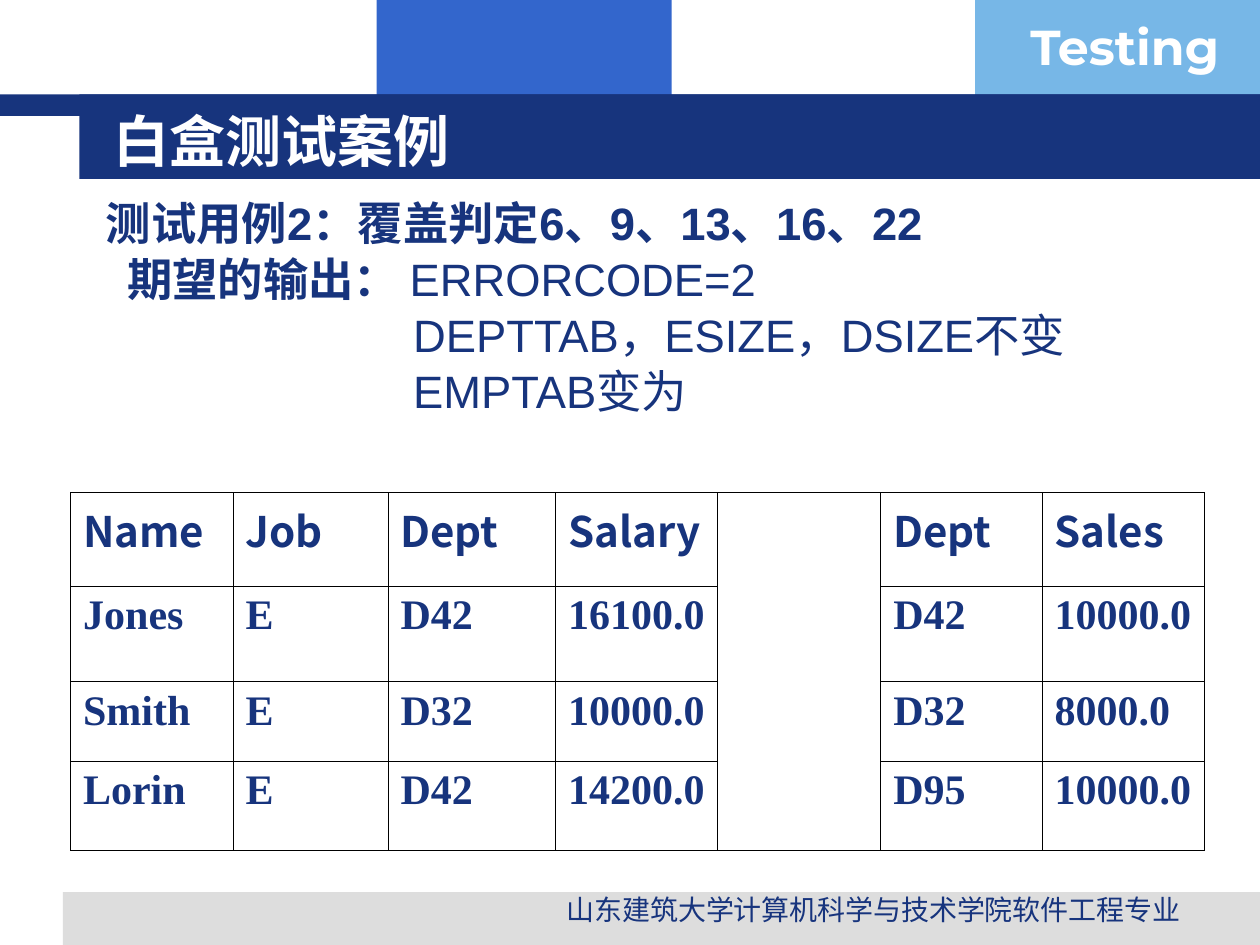
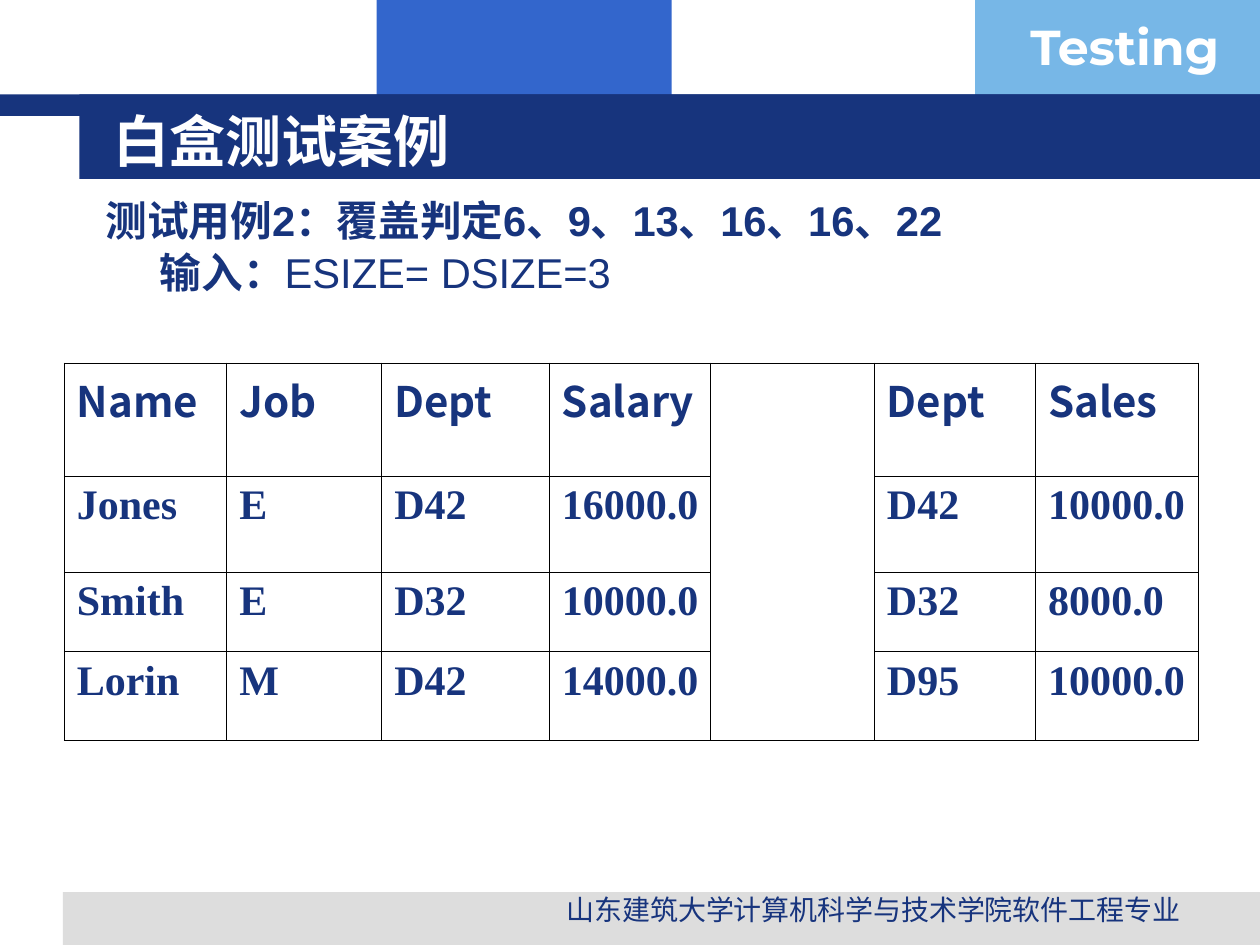
from dataclasses import dataclass

from lxml import etree
from pptx import Presentation
from pptx.dml.color import RGBColor
from pptx.enum.shapes import MSO_SHAPE
from pptx.enum.text import MSO_ANCHOR, PP_ALIGN
from pptx.oxml.ns import qn
from pptx.util import Inches, Pt

RECTANGLE = MSO_SHAPE.RECTANGLE
TOP, MIDDLE = MSO_ANCHOR.TOP, MSO_ANCHOR.MIDDLE
LEFT, CENTER = PP_ALIGN.LEFT, PP_ALIGN.CENTER


@dataclass(frozen=True)
class Theme:
    navy: str = "17347D"
    blue: str = "3366CC"
    sky: str = "77B7E7"
    grey: str = "DDDDDD"
    white: str = "FFFFFF"
    border: str = "000000"
    body_font: str = "Arial"
    heading_font: str = "Noto Sans CJK SC"
    value_font: str = "Times New Roman"
    course_font: str = "Montserrat"
    title_size: float = 32
    course_size: float = 28
    table_size: float = 24
    footer_size: float = 16
    border_width: float = 0.45
    body_space: float = 0.8


THEME = Theme()

TITLE = "白盒测试案例"
COURSE = "Testing"
FOOTER = "山东建筑大学计算机科学与技术学院软件工程专业"

BANDS = [
    (2.99, 0, 2.34, 0.92, THEME.blue),
    (7.74, 0, 2.26, 0.92, THEME.sky),
    (0.5, 7.08, 9.5, 0.42, THEME.grey),
    (0, 0.75, 10, 0.17, THEME.navy),
    (0.63, 0.75, 9.37, 0.67, THEME.navy),
]

HEADER = ["Name", "Job", "Dept", "Salary", "", "Dept", "Sales"]
DEPARTMENTS = [("D42", "10000.0"), ("D32", "8000.0"), ("D95", "10000.0")]
COLUMN_WIDTHS = [1.29, 1.23, 1.33, 1.28, 1.3, 1.28, 1.29]
VALUE_ROW_HEIGHTS = [0.76, 0.63, 0.71]
GAP_COLUMN = 4

SLIDES = [
    {
        "body_size": 25.9,
        "body_box": (0.51, 1.55, 9.06, 2.28),
        "lines": [
            (0.33, [("测试用例2：覆盖判定6、9、13、16、22", True)]),
            (0.5, [("期望的输出： ", True), ("ERRORCODE=2", False)]),
            (2.77, [("DEPTTAB，ESIZE，DSIZE不变", False)]),
            (2.77, [("EMPTAB变为", False)]),
        ],
        "table_at": (0.56, 3.91),
        "header_height": 0.74,
        "employees": [
            ("Jones", "E", "D42", "16100.0"),
            ("Smith", "E", "D32", "10000.0"),
            ("Lorin", "E", "D42", "14200.0"),
        ],
    },
    {
        "body_size": 23.8,
        "body_box": (0.51, 1.55, 8.58, 1.18),
        "lines": [
            (0.33, [("测试用例2：覆盖判定6、9、13、16、16、22", True)]),
            (0.76, [("输入：", True), ("ESIZE= DSIZE=3", False)]),
        ],
        "table_at": (0.51, 2.88),
        "header_height": 0.9,
        "employees": [
            ("Jones", "E", "D42", "16000.0"),
            ("Smith", "E", "D32", "10000.0"),
            ("Lorin", "M", "D42", "14000.0"),
        ],
    },
]


def format_run(run, font_name, size, color, bold):
    run.font.name = font_name
    run.font.size = Pt(size)
    run.font.bold = bold
    run.font.color.rgb = RGBColor.from_string(color)
    east_asian = etree.SubElement(run._r.get_or_add_rPr(), qn("a:ea"))
    east_asian.set("typeface", THEME.heading_font)


def add_band(slide, left, top, width, height, color):
    shape = slide.shapes.add_shape(
        RECTANGLE, Inches(left), Inches(top), Inches(width), Inches(height))
    shape.shadow.inherit = False
    shape.fill.solid()
    shape.fill.fore_color.rgb = RGBColor.from_string(color)
    shape.line.fill.background()


def add_frame(slide, box, side=0.1, edge=0.05, anchor=TOP):
    text_frame = slide.shapes.add_textbox(*map(Inches, box)).text_frame
    text_frame.word_wrap = True
    text_frame.vertical_anchor = anchor
    text_frame.margin_left = text_frame.margin_right = Inches(side)
    text_frame.margin_top = text_frame.margin_bottom = Inches(edge)
    return text_frame


def add_label(slide, text, box, style, align=LEFT, **frame_options):
    text_frame = add_frame(slide, box, **frame_options)
    text_frame.text = text
    paragraph = text_frame.paragraphs[0]
    paragraph.alignment = align
    format_run(paragraph.runs[0], *style)


def add_frame_parts(slide):
    for band in BANDS:
        add_band(slide, *band)
    add_label(slide, COURSE, (8.08, 0.08, 1.93, 0.57),
              (THEME.course_font, THEME.course_size, THEME.white, True))
    add_label(slide, FOOTER, (4.06, 7.06, 5.75, 0.31),
              (THEME.body_font, THEME.footer_size, THEME.navy, False),
              align=CENTER, edge=0.02)
    add_label(slide, TITLE, (0.8, 0.8, 8.53, 0.62),
              (THEME.heading_font, THEME.title_size, THEME.white, True),
              anchor=MIDDLE)


def add_body(slide, box, lines, size):
    text_frame = add_frame(slide, box, side=0, edge=0)
    for index, (indent, pieces) in enumerate(lines):
        paragraph = text_frame.add_paragraph() if index else text_frame.paragraphs[0]
        paragraph._p.get_or_add_pPr().set("marL", str(Inches(indent)))
        if index:
            paragraph.space_before = Pt(THEME.body_space)
        for text, bold in pieces:
            run = paragraph.add_run()
            run.text = text
            format_run(run, THEME.body_font, size, THEME.navy, bold)


def style_cell(cell):
    properties = cell._tc.get_or_add_tcPr()
    for side in ("lnL", "lnR", "lnT", "lnB"):
        line = etree.SubElement(properties, qn(f"a:{side}"), w=str(Pt(THEME.border_width)))
        fill = etree.SubElement(line, qn("a:solidFill"))
        etree.SubElement(fill, qn("a:srgbClr"), val=THEME.border)
    cell.fill.solid()
    cell.fill.fore_color.rgb = RGBColor.from_string(THEME.white)
    cell.margin_left = Inches(0.1)
    cell.margin_right = Inches(0.05)
    cell.margin_top = cell.margin_bottom = Inches(0.05)


def add_records(slide, position, header_height, employees):
    rows = [HEADER] + [[*employee, "", *department]
                       for employee, department in zip(employees, DEPARTMENTS)]
    heights = [header_height] + VALUE_ROW_HEIGHTS
    left, top = position
    table = slide.shapes.add_table(
        len(rows), len(HEADER), Inches(left), Inches(top),
        Inches(sum(COLUMN_WIDTHS)), Inches(sum(heights))).table
    table.first_row = table.horz_banding = False
    for column, width in zip(table.columns, COLUMN_WIDTHS):
        column.width = Inches(width)
    for row_index, (values, height) in enumerate(zip(rows, heights)):
        table.rows[row_index].height = Inches(height)
        font_name = THEME.value_font if row_index else THEME.heading_font
        for column_index, value in enumerate(values):
            cell = table.cell(row_index, column_index)
            style_cell(cell)
            if value:
                cell.text_frame.text = value
                format_run(cell.text_frame.paragraphs[0].runs[0],
                           font_name, THEME.table_size, THEME.navy, True)
    table.cell(0, GAP_COLUMN).merge(table.cell(len(rows) - 1, GAP_COLUMN))


def main():
    presentation = Presentation()
    presentation.slide_width = Inches(10)
    presentation.slide_height = Inches(7.5)
    for content in SLIDES:
        slide = presentation.slides.add_slide(presentation.slide_layouts[6])
        add_frame_parts(slide)
        add_body(slide, content["body_box"], content["lines"], content["body_size"])
        add_records(slide, content["table_at"], content["header_height"],
                    content["employees"])
    presentation.save("out.pptx")


if __name__ == "__main__":
    main()
